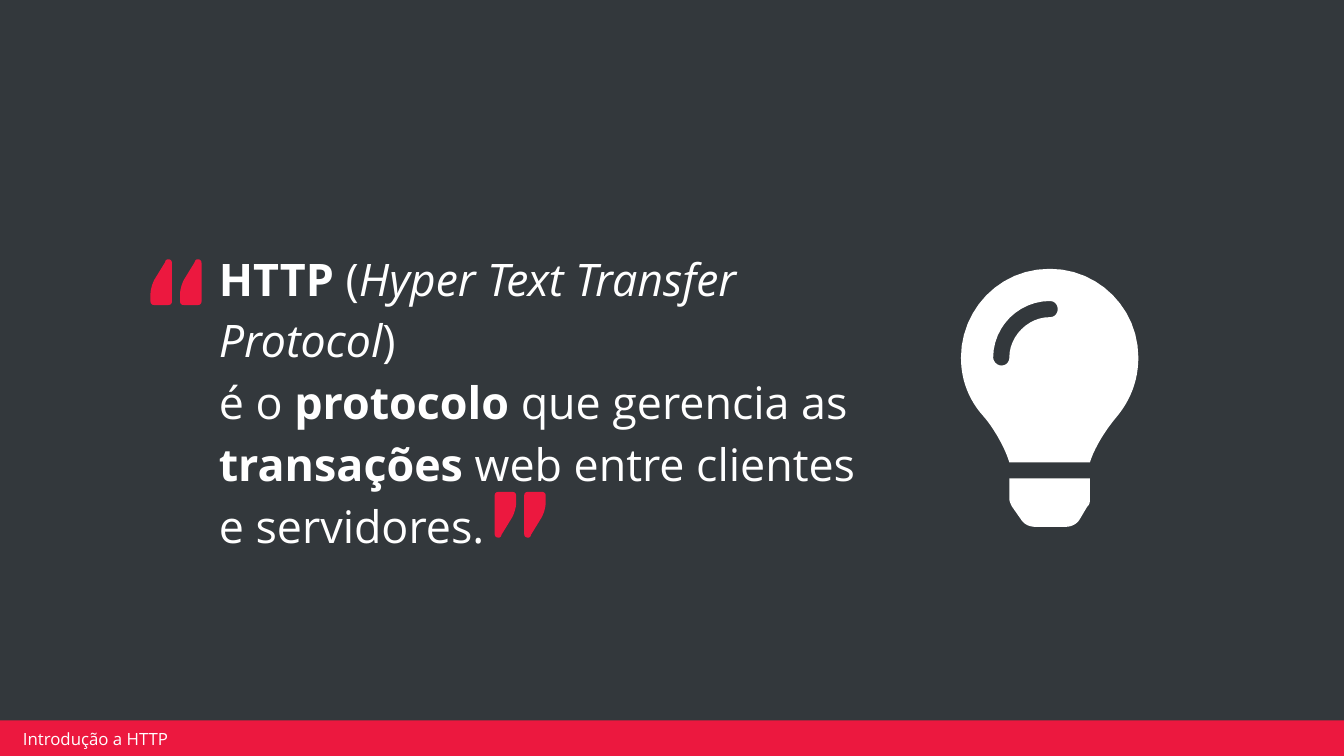
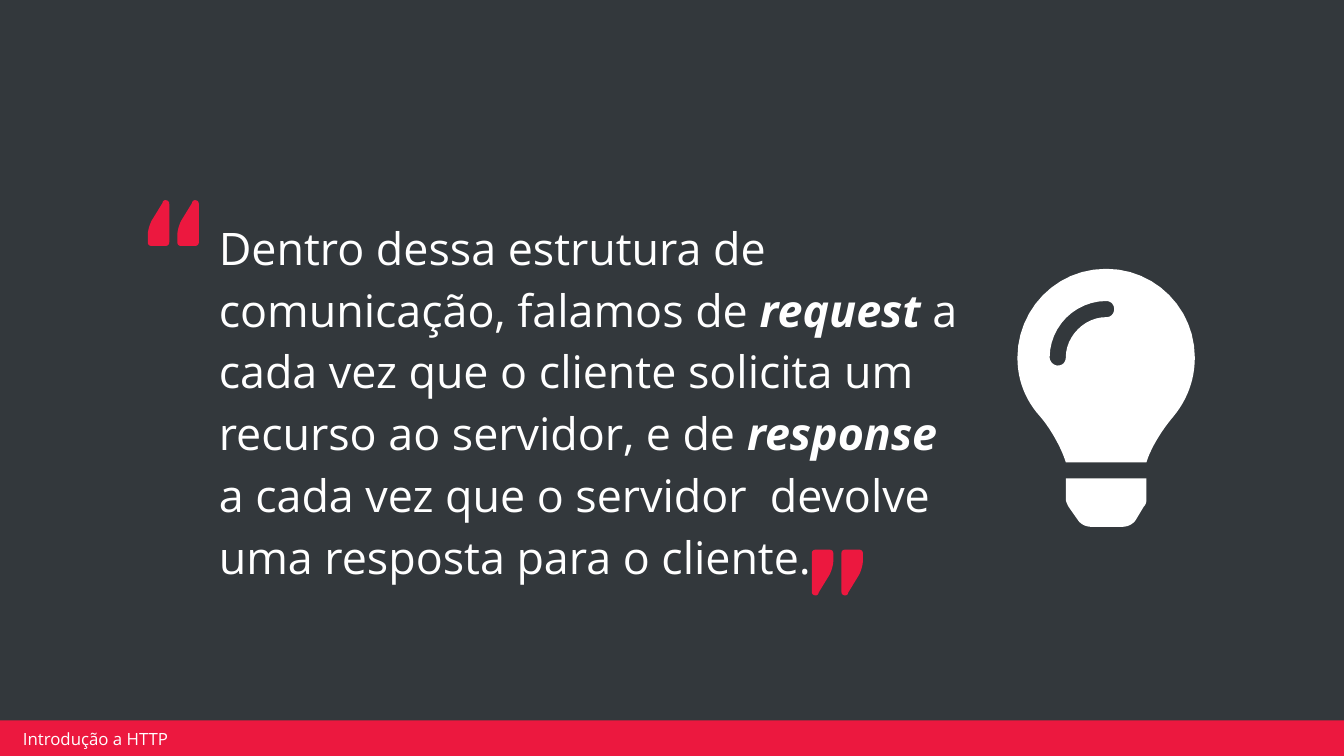
from dataclasses import dataclass
from typing import NamedTuple

from pptx import Presentation
from pptx.dml.color import RGBColor
from pptx.enum.shapes import MSO_SHAPE as Preset
from pptx.enum.text import MSO_ANCHOR as Anchor
from pptx.util import Inches, Length, Pt


@dataclass(frozen=True)
class Theme:
    background: RGBColor = RGBColor(0x33, 0x38, 0x3C)
    accent: RGBColor = RGBColor(0xEC, 0x18, 0x3F)
    light: RGBColor = RGBColor(0xFF, 0xFF, 0xFF)
    font: str = "Open Sans"
    quote_size: Length = Pt(24)
    footer_size: Length = Pt(9)


THEME = Theme()
FOOTER = "Introdução a HTTP"
BLANK_LAYOUT = 6
MARK_PITCH = 0.22
CURVE_STEPS = 12

# An outline starts at a point; each later entry is a line end (x, y)
# or a cubic curve (control 1, control 2, end).
Outline = list[tuple[float, ...]]

QUOTE_MARK: Outline = [
    (0.13, 0), (0.12, 0, 0.11, 0.01, 0.11, 0.02), (0.03, 0.15),
    (0.01, 0.19, 0, 0.23, 0, 0.26), (0, 0.31), (0, 0.33, 0.01, 0.34, 0.03, 0.34),
    (0.13, 0.34), (0.15, 0.34, 0.16, 0.33, 0.16, 0.31), (0.16, 0.03),
    (0.16, 0.01, 0.15, 0, 0.13, 0),
]
BULB_BASE: Outline = [
    (0.36, 1.71), (0.36, 1.73, 0.37, 1.75, 0.38, 1.77), (0.45, 1.87),
    (0.47, 1.9, 0.51, 1.92, 0.55, 1.92), (0.78, 1.92),
    (0.82, 1.92, 0.86, 1.9, 0.88, 1.87), (0.94, 1.77),
    (0.96, 1.75, 0.96, 1.73, 0.96, 1.71), (0.96, 1.56), (0.36, 1.56),
]
BULB_GLASS: Outline = [
    (0, 0.66), (0, 0.83, 0.06, 0.98, 0.17, 1.1), (0.23, 1.17, 0.32, 1.31, 0.36, 1.44),
    (0.96, 1.44), (1, 1.31, 1.1, 1.17, 1.16, 1.1), (1.26, 0.98, 1.32, 0.83, 1.32, 0.66),
    (1.32, 0.3, 1.03, 0, 0.66, 0), (0.28, 0, 0, 0.31, 0, 0.66),
]
BULB_GLARE: Outline = [
    (0.66, 0.36), (0.5, 0.36, 0.36, 0.5, 0.36, 0.66), (0.36, 0.69, 0.34, 0.72, 0.3, 0.72),
    (0.27, 0.72, 0.24, 0.69, 0.24, 0.66), (0.24, 0.43, 0.43, 0.24, 0.66, 0.24),
    (0.7, 0.24, 0.72, 0.27, 0.72, 0.3), (0.72, 0.33, 0.7, 0.36, 0.66, 0.36),
]


class Point(NamedTuple):
    x: float
    y: float


class Box(NamedTuple):
    left: float
    top: float
    width: float
    height: float

    def lengths(self) -> list[Length]:
        return [Inches(value) for value in self]


class Phrase(NamedTuple):
    text: str
    bold: bool = False
    italic: bool = False


@dataclass(frozen=True)
class Quote:
    box: Box
    phrases: list[Phrase]
    opening: Point
    closing: Point
    bulb: Point


QUOTES = [
    Quote(
        Box(1.53, 1.85, 5.33, 2.22),
        [
            Phrase("HTTP ", bold=True),
            Phrase("("),
            Phrase("Hyper Text Transfer Protocol", italic=True),
            Phrase(") \né o "),
            Phrase("protocolo ", bold=True),
            Phrase("que gerencia as "),
            Phrase("transações ", bold=True),
            Phrase("web entre clientes \ne servidores."),
        ],
        opening=Point(1.12, 1.93), closing=Point(3.68, 3.66), bulb=Point(7.15, 2),
    ),
    Quote(
        Box(1.53, 1.49, 5.73, 2.94),
        [
            Phrase("Dentro dessa estrutura de comunicação, falamos de "),
            Phrase("request ", bold=True, italic=True),
            Phrase("a cada vez que o cliente solicita um recurso ao servidor, e de "),
            Phrase("response ", bold=True, italic=True),
            Phrase("a cada vez que o servidor  devolve uma resposta para o cliente."),
        ],
        opening=Point(1.1, 1.49), closing=Point(6.04, 4.09), bulb=Point(7.57, 2),
    ),
]


def paint(shape, color: RGBColor) -> None:
    shape.fill.solid()
    shape.fill.fore_color.rgb = color
    shape.line.fill.background()
    shape.shadow.inherit = False


def flatten(outline: Outline, origin: Point) -> list[tuple[Length, Length]]:
    """Turn curves into short lines and place the outline at origin."""
    points = [outline[0]]
    for segment in outline[1:]:
        if len(segment) == 2:
            points.append(segment)
            continue
        controls = (points[-1], segment[:2], segment[2:4], segment[4:])
        for step in range(1, CURVE_STEPS + 1):
            t = step / CURVE_STEPS
            weights = ((1 - t) ** 3, 3 * t * (1 - t) ** 2, 3 * t**2 * (1 - t), t**3)
            points.append(tuple(
                sum(w * c[axis] for w, c in zip(weights, controls)) for axis in (0, 1)
            ))
    return [(Inches(origin.x + x), Inches(origin.y + y)) for x, y in points]


def add_outlines(slide, outlines: list[Outline], origin: Point, color: RGBColor):
    first, *others = [flatten(outline, origin) for outline in outlines]
    builder = slide.shapes.build_freeform(*first[0])
    builder.add_line_segments(first[1:], close=True)
    for points in others:
        builder.move_to(*points[0])
        builder.add_line_segments(points[1:], close=True)
    shape = builder.convert_to_shape()
    paint(shape, color)
    return shape


def add_quote_marks(slide, origin: Point, rotation: float = 0) -> None:
    marks = [
        add_outlines(slide, [QUOTE_MARK], Point(origin.x + i * MARK_PITCH, origin.y), THEME.accent)
        for i in range(2)
    ]
    for mark in marks:
        mark.rotation = rotation
    slide.shapes.add_group_shape(marks)


def add_text(slide, box: Box, phrases: list[Phrase], size: Length, inset: Point):
    """Add one paragraph of phrases and return it."""
    frame = slide.shapes.add_textbox(*box.lengths()).text_frame
    frame.word_wrap = True
    frame.vertical_anchor = Anchor.MIDDLE
    frame.margin_left = frame.margin_right = Inches(inset.x)
    frame.margin_top = frame.margin_bottom = Inches(inset.y)
    paragraph = frame.paragraphs[0]
    paragraph.font.name = THEME.font
    paragraph.font.size = size
    paragraph.font.color.rgb = THEME.light
    for phrase in phrases:
        for index, line in enumerate(phrase.text.split("\n")):
            if index:
                paragraph.add_line_break()
            run = paragraph.add_run()
            run.text = line
            if phrase.bold:
                run.font.bold = True
            if phrase.italic:
                run.font.italic = True
    return paragraph


def add_quote_slide(deck, quote: Quote) -> None:
    slide = deck.slides.add_slide(deck.slide_layouts[BLANK_LAYOUT])
    band = slide.shapes.add_shape(Preset.RECTANGLE, *Box(-0.02, 5.36, 10.03, 0.27).lengths())
    paint(band, THEME.accent)

    statement = add_text(slide, quote.box, quote.phrases, THEME.quote_size, Point(0.1, 0.05))
    statement.line_spacing = 1.15
    statement.space_before = Pt(6)

    add_outlines(slide, [BULB_BASE, BULB_GLASS, BULB_GLARE], quote.bulb, THEME.light)
    add_quote_marks(slide, quote.opening)
    add_quote_marks(slide, quote.closing, rotation=180)
    add_text(slide, Box(0.12, 5.42, 2.39, 0.15), [Phrase(FOOTER)],
             THEME.footer_size, Point(0.05, 0.02))


def main() -> None:
    deck = Presentation()
    deck.slide_width = Inches(10)
    deck.slide_height = deck.slide_width * 9 // 16
    backdrop = deck.slide_master.background.fill
    backdrop.solid()
    backdrop.fore_color.rgb = THEME.background
    for quote in QUOTES:
        add_quote_slide(deck, quote)
    deck.save("out.pptx")


if __name__ == "__main__":
    main()
